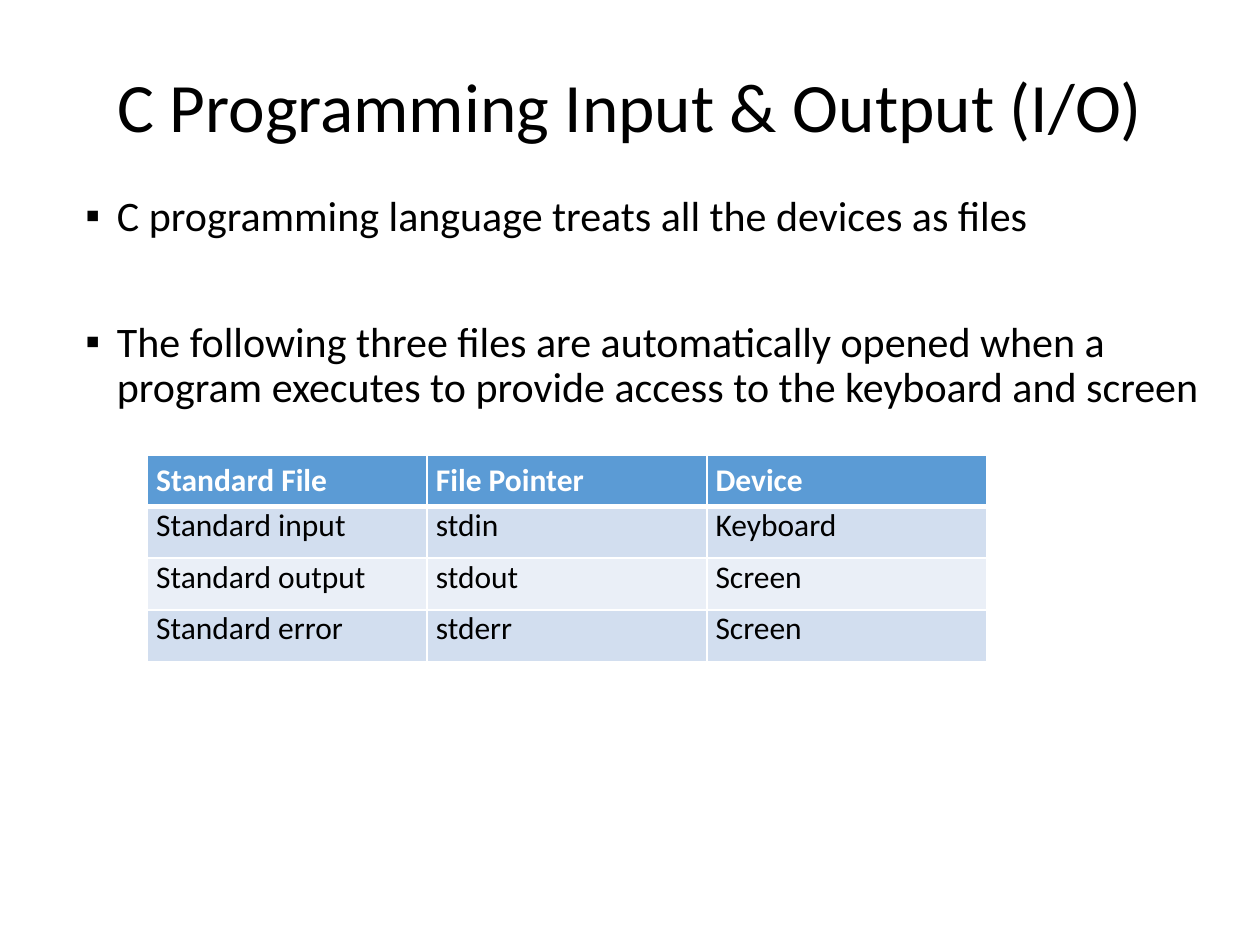
from lxml import etree
from pptx import Presentation
from pptx import util as u
from pptx.dml.color import RGBColor
from pptx.enum import text
from pptx.oxml import ns

BLACK, WHITE = "000000", "FFFFFF"
HEADER_FILL = "5B9BD5"
BAND_FILLS = ["D2DEEF", "EAEFF7"]


def color(value):
    return RGBColor.from_string(value)


class SlideBuilder:
    font = "Calibri"

    def __init__(self, presentation):
        self.slide = presentation.slides.add_slide(presentation.slide_layouts[5])

    def add_run(self, paragraph, content, size, fill=BLACK, bold=False):
        run = paragraph.add_run()
        run.text = content
        run.font.name = self.font
        run.font.size = u.Pt(size)
        run.font.bold = bold
        run.font.color.rgb = color(fill)

    def set_frame(self, frame, anchor):
        frame.word_wrap = True
        frame.auto_size = text.MSO_AUTO_SIZE.NONE
        frame.vertical_anchor = anchor
        frame.margin_left = frame.margin_right = u.Inches(0.1)
        frame.margin_top = frame.margin_bottom = u.Inches(0.05)

    def title(self, content, left, top, width, height):
        shape = self.slide.shapes.title
        shape.left, shape.top = u.Inches(left), u.Inches(top)
        shape.width, shape.height = u.Inches(width), u.Inches(height)
        self.set_frame(shape.text_frame, text.MSO_ANCHOR.MIDDLE)
        paragraph = shape.text_frame.paragraphs[0]
        paragraph.alignment = text.PP_ALIGN.LEFT
        paragraph.line_spacing = 0.9
        self.add_run(paragraph, content, 39.6)

    def bullets(self, items, left, top, width, height):
        shape = self.slide.shapes.add_textbox(
            u.Inches(left), u.Inches(top), u.Inches(width), u.Inches(height))
        frame = shape.text_frame
        self.set_frame(frame, text.MSO_ANCHOR.TOP)
        for index, (content, space_before) in enumerate(items):
            paragraph = frame.add_paragraph() if index else frame.paragraphs[0]
            paragraph.line_spacing = 0.9
            paragraph.space_before = u.Pt(space_before)
            self.add_bullet(paragraph, "▪", 0.25)
            self.add_run(paragraph, content, 24)

    def add_bullet(self, paragraph, character, indent):
        properties = paragraph._p.get_or_add_pPr()
        properties.set("marL", str(u.Inches(indent)))
        properties.set("indent", str(-u.Inches(indent)))
        etree.SubElement(properties, ns.qn("a:buFont"), typeface="Arial")
        etree.SubElement(properties, ns.qn("a:buChar"), char=character)

    def table(self, rows, left, top, column_width, row_height):
        columns = len(rows[0])
        table = self.slide.shapes.add_table(
            len(rows), columns, u.Inches(left), u.Inches(top),
            u.Inches(column_width * columns), u.Inches(row_height * len(rows))).table
        for column in table.columns:
            column.width = u.Inches(column_width)
        for row_index, row in enumerate(rows):
            table.rows[row_index].height = u.Inches(row_height)
            for column_index, content in enumerate(row):
                self.fill_cell(table.cell(row_index, column_index), content, row_index)

    def fill_cell(self, cell, content, row_index):
        header = row_index == 0
        cell.margin_left = cell.margin_right = u.Inches(0.07)
        cell.margin_top = cell.margin_bottom = 0
        cell.vertical_anchor = text.MSO_ANCHOR.MIDDLE if header else text.MSO_ANCHOR.TOP
        self.add_run(cell.text_frame.paragraphs[0], content, 18,
                     WHITE if header else BLACK, header)
        self.add_borders(cell, {"L": 1, "R": 1, "T": 3 if row_index == 1 else 1,
                                "B": 3 if header else 1})
        cell.fill.solid()
        cell.fill.fore_color.rgb = color(
            HEADER_FILL if header else BAND_FILLS[(row_index - 1) % 2])

    def add_borders(self, cell, widths):
        properties = cell._tc.get_or_add_tcPr()
        for side, width in widths.items():
            line = etree.SubElement(properties, ns.qn(f"a:ln{side}"), w=str(u.Pt(width)))
            fill = etree.SubElement(line, ns.qn("a:solidFill"))
            etree.SubElement(fill, ns.qn("a:srgbClr"), val=WHITE)


def main():
    presentation = Presentation()
    presentation.slide_width = u.Inches(10)
    presentation.slide_height = u.Inches(7.5)
    builder = SlideBuilder(presentation)
    builder.title("C Programming Input & Output (I/O)", 0.83, 0.25, 8.5, 1.25)
    builder.bullets([
        ("C programming language treats all the devices as files", 10),
        ("The following three files are automatically opened when a program "
         "executes to provide access to the keyboard and screen", 46),
    ], 0.58, 1.5, 9.17, 5.85)
    builder.table([
        ["Standard File", "File Pointer", "Device"],
        ["Standard input", "stdin", "Keyboard"],
        ["Standard output", "stdout", "Screen"],
        ["Standard error", "stderr", "Screen"],
    ], 1.17, 3.61, 2.22, 0.41)
    presentation.save("out.pptx")


if __name__ == "__main__":
    main()
